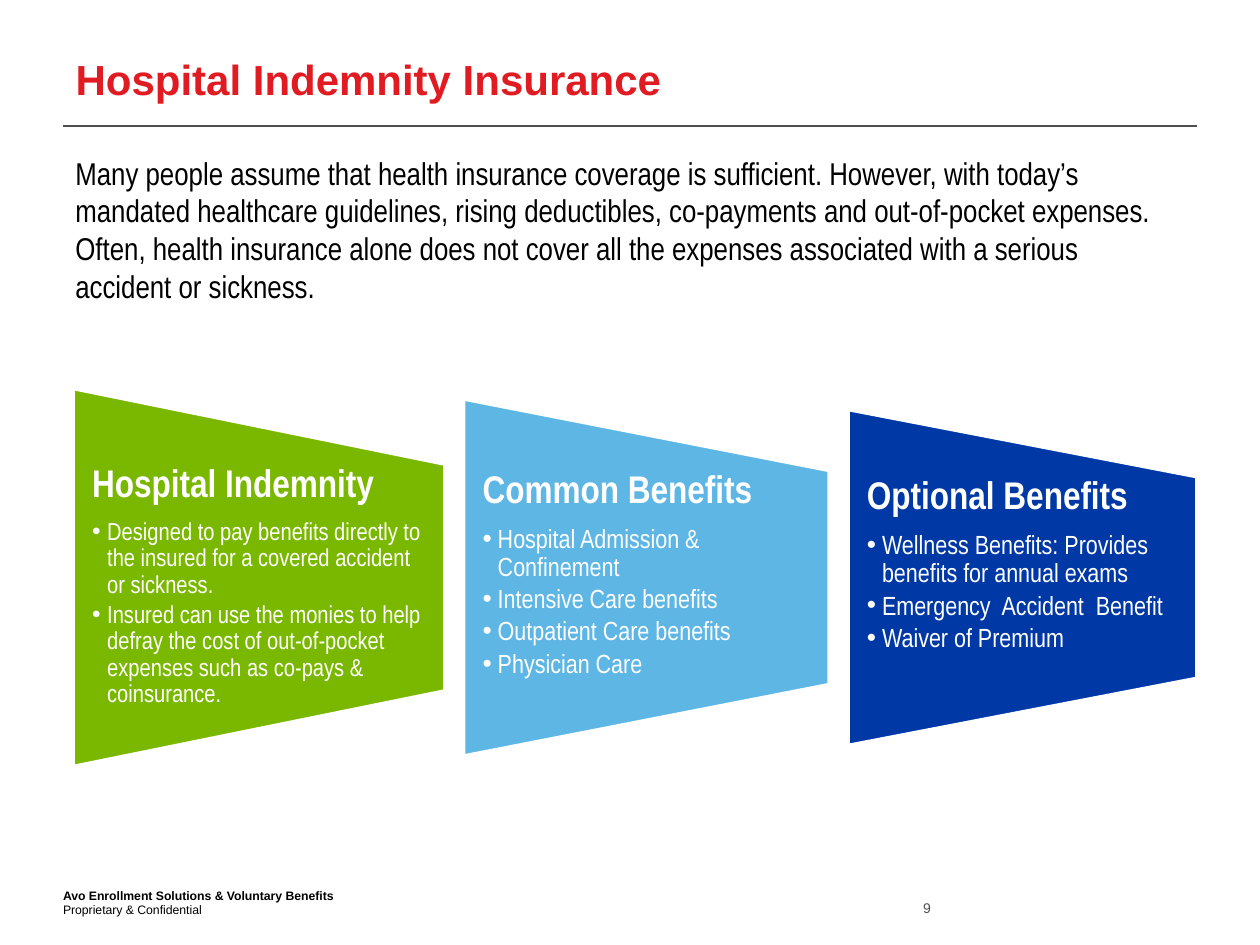
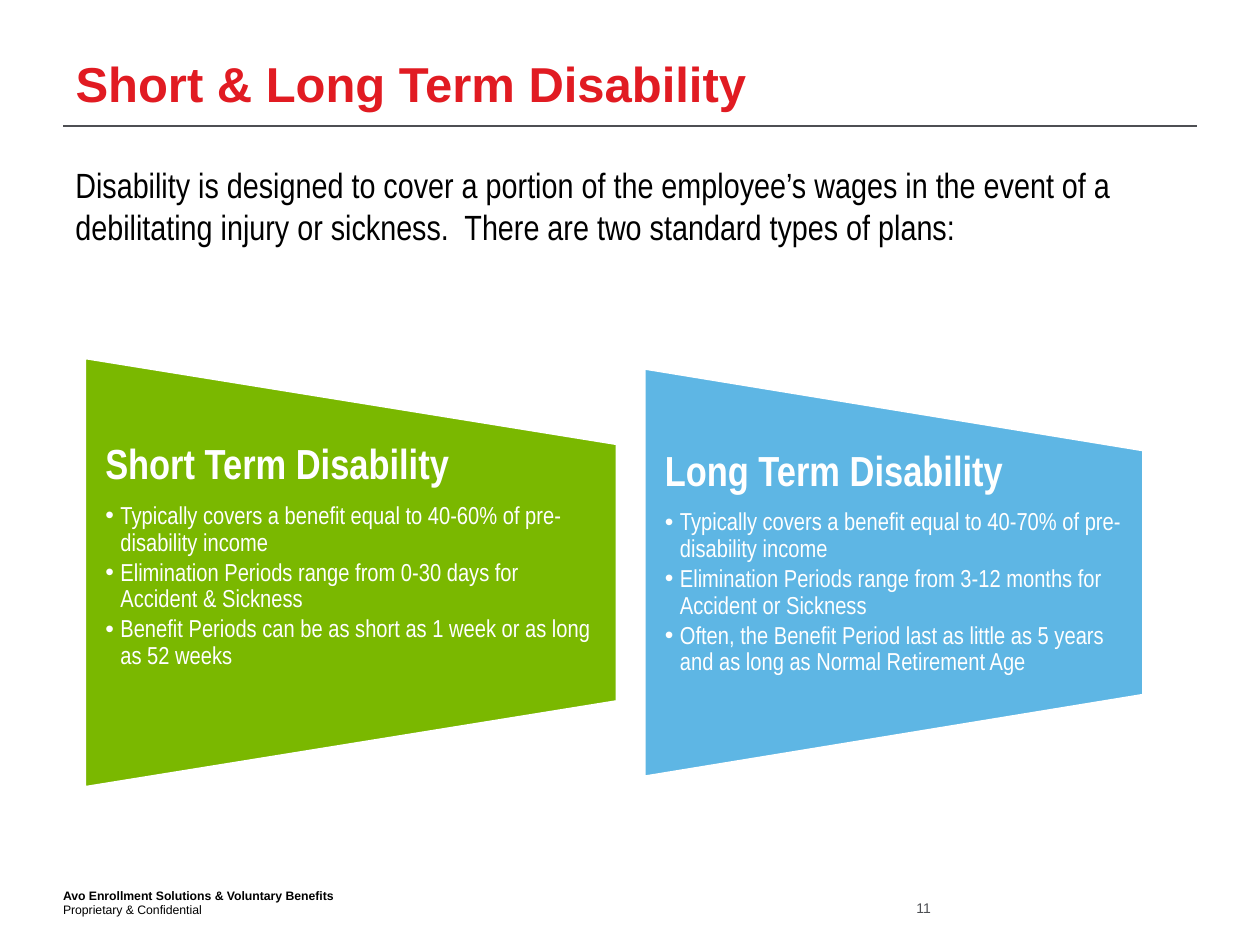
from lxml.etree import SubElement
from pptx import Presentation
from pptx.dml.color import RGBColor
from pptx.enum.shapes import MSO_CONNECTOR, MSO_SHAPE
from pptx.enum.text import MSO_ANCHOR as ANCHOR, MSO_AUTO_SIZE as AUTO_SIZE, PP_ALIGN as ALIGN
from pptx.oxml.ns import qn
from pptx.util import Pt

RED = RGBColor(0xE1, 0x1B, 0x22)
GREEN = RGBColor(0x7A, 0xB8, 0x00)
SKY = RGBColor(0x5E, 0xB6, 0xE4)
NAVY = RGBColor(0x00, 0x39, 0xA6)
GREY = RGBColor(0x4D, 0x4F, 0x53)
BLACK = RGBColor(0, 0, 0)
WHITE = RGBColor(0xFF, 0xFF, 0xFF)

SANS, NARROW = "Arial", "Arial Narrow"
MARGIN = 36
CONTENT_WIDTH = 648
PANEL_SHRINK = 12    # each panel is this much lower than the one before
TEXT_SHARE = 0.6     # part of a panel's height that holds its text
BULLET_INDENT = 8.64


def write(p, text, size, color=BLACK, font=SANS, bold=False, align=ALIGN.LEFT,
          line=None, after=None, bullet=False):
    """Fill a paragraph; after is a share of the font size."""
    r = p.add_run()
    r.text = text
    r.font.name, r.font.size, r.font.bold = font, Pt(size), bold
    r.font.color.rgb = color
    p.alignment = align
    if line:
        p.line_spacing = line
    if after:
        p.space_after = Pt(round(size * after, 1))
    if bullet:
        pPr = p._p.get_or_add_pPr()
        pPr.set("marL", str(Pt(BULLET_INDENT)))
        pPr.set("indent", str(-Pt(BULLET_INDENT)))
        SubElement(pPr, qn("a:buFont")).set("typeface", SANS)
        SubElement(pPr, qn("a:buChar")).set("char", "•")


def set_frame(tf, anchor=ANCHOR.TOP, side_inset=0, end_inset=0):
    tf.word_wrap = True
    tf.auto_size = AUTO_SIZE.NONE
    tf.vertical_anchor = anchor
    tf.margin_left = tf.margin_right = Pt(side_inset)
    tf.margin_top = tf.margin_bottom = Pt(end_inset)


def add_text_frame(slide, left, top, width, height, **frame):
    tf = slide.shapes.add_textbox(Pt(left), Pt(top), Pt(width), Pt(height)).text_frame
    set_frame(tf, **frame)
    return tf


def add_title(slide, text, size):
    sp = slide.shapes.title
    sp.left, sp.top, sp.width, sp.height = Pt(MARGIN), Pt(23.8), Pt(CONTENT_WIDTH), Pt(41)
    set_frame(sp.text_frame, side_inset=7.2, end_inset=7)
    write(sp.text_frame.paragraphs[0], text, size, RED, bold=True)


def add_rule(slide):
    rule = slide.shapes.add_connector(MSO_CONNECTOR.STRAIGHT, Pt(MARGIN), Pt(72),
                                      Pt(MARGIN + CONTENT_WIDTH), Pt(72))
    rule.line.color.rgb = GREY
    rule.line.width = Pt(0.75)
    SubElement(rule._element.spPr, qn("a:effectLst"))


def add_footer(slide, number):
    tf = add_text_frame(slide, MARGIN, 506.9, 475, 17.3, anchor=ANCHOR.BOTTOM)
    write(tf.paragraphs[0], "Avo Enrollment Solutions & Voluntary Benefits", 7, bold=True)
    write(tf.add_paragraph(), "Proprietary & Confidential", 7)
    tf = add_text_frame(slide, 504, 514, 28, 9.4, anchor=ANCHOR.BOTTOM)
    write(tf.paragraphs[0], str(number), 8, GREY, align=ALIGN.RIGHT)


def add_panel(slide, left, middle, width, height, color, inset, heading, heading_size,
              bullets, bullet_size):
    """Trapezoid, wide side at the left, with a heading and bullets over it."""
    center = left + width / 2
    sp = slide.shapes.add_shape(MSO_SHAPE.FLOWCHART_MANUAL_OPERATION,
                                Pt(center - height / 2), Pt(middle - width / 2),
                                Pt(height), Pt(width))
    sp.rotation = 270
    sp.shadow.inherit = False
    sp.fill.solid()
    sp.fill.fore_color.rgb = color
    sp.line.color.rgb = WHITE
    sp.line.width = Pt(2)

    text_height = height * TEXT_SHARE
    tf = add_text_frame(slide, left, middle - text_height / 2, width, text_height,
                        side_inset=inset)
    write(tf.paragraphs[0], heading, heading_size, WHITE, NARROW, bold=True,
          line=0.9, after=0.35)
    for bullet in bullets:
        write(tf.add_paragraph(), bullet, bullet_size, WHITE, NARROW,
              line=0.9, after=0.15, bullet=True)


def add_panels(slide, panels, left, middle, height, gap, inset, heading_size):
    for width, color, heading, bullet_size, bullets in panels:
        add_panel(slide, left, middle, width, height, color, inset, heading, heading_size,
                  bullets, bullet_size)
        left += width + gap
        height -= PANEL_SHRINK


def add_slide(prs, number, title, title_size, intro, intro_size, intro_top, intro_width):
    slide = prs.slides.add_slide(prs.slide_layouts[5])
    add_rule(slide)
    add_footer(slide, number)
    add_title(slide, title, title_size)
    tf = add_text_frame(slide, MARGIN, intro_top, intro_width, 95,
                        side_inset=7.2, end_inset=3.6)
    write(tf.paragraphs[0], intro, intro_size, font=NARROW)
    return slide


def main():
    prs = Presentation()
    prs.slide_width, prs.slide_height = Pt(720), Pt(540)

    hospital = add_slide(
        prs, 9, "Hospital Indemnity Insurance", 24,
        "Many people assume that health insurance coverage is sufficient. However, with "
        "today’s mandated healthcare guidelines, rising deductibles, co-payments and "
        "out-of-pocket expenses. Often, health insurance alone does not cover all the "
        "expenses associated with a serious accident or sickness.", 18, 84.2, 642)
    add_panels(hospital, [
        (212.4, GREEN, "Hospital Indemnity", 14, [
            "Designed to pay benefits directly to the insured for a covered accident "
            "or sickness.",
            "Insured can use the monies to help defray the cost of out-of-pocket expenses "
            "such as co-pays & coinsurance."]),
        (208.8, SKY, "Common Benefits", 15, [
            "Hospital Admission & Confinement", "Intensive Care benefits",
            "Outpatient Care benefits", "Physician Care"]),
        (199.4, NAVY, "Optional Benefits", 15, [
            "Wellness Benefits: Provides benefits for annual exams",
            "Emergency  Accident  Benefit", "Waiver of Premium"]),
    ], left=41.8, middle=330, height=216, gap=10.8, inset=10.8, heading_size=22)

    disability = add_slide(
        prs, 11, "Short & Long Term Disability", 28,
        "Disability is designed to cover a portion of the employee’s wages in the event of "
        "a debilitating injury or sickness.  There are two standard types of plans:",
        20, 90, CONTENT_WIDTH)
    add_panels(disability, [
        (304.6, GREEN, "Short Term Disability", 14, [
            "Typically covers a benefit equal to 40-60% of pre-disability income",
            "Elimination Periods range from 0-30 days for Accident & Sickness",
            "Benefit Periods can be as short as 1 week or as long as 52 weeks"]),
        (285.8, SKY, "Long Term Disability", 14, [
            "Typically covers a benefit equal to 40-70% of pre-disability income",
            "Elimination Periods range from 3-12 months for Accident or Sickness",
            "Often, the Benefit Period last as little as 5 years and as long as Normal "
            "Retirement Age"]),
    ], left=48.2, middle=327.2, height=246, gap=15.1, inset=12, heading_size=24)

    prs.save("out.pptx")


if __name__ == "__main__":
    main()
